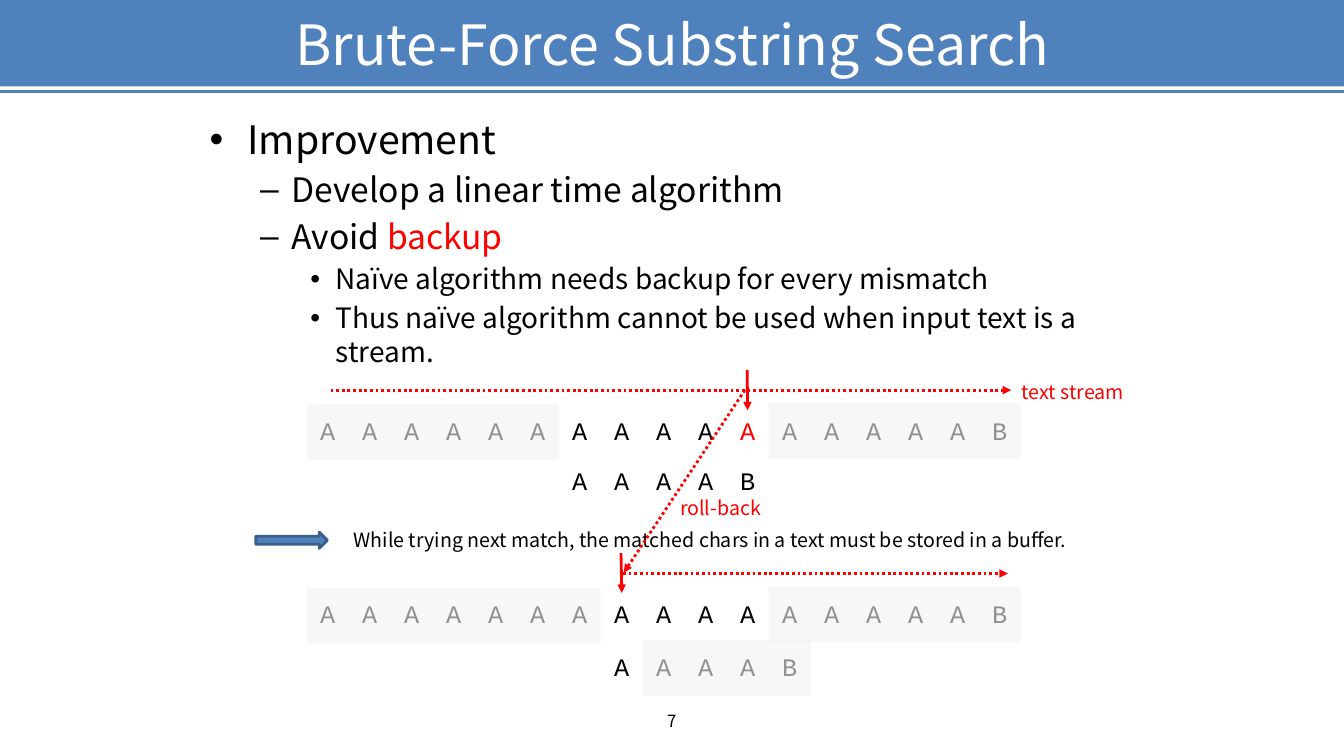
from lxml import etree
from pptx import Presentation
from pptx.dml.color import RGBColor
from pptx.enum.dml import MSO_LINE
from pptx.enum.shapes import MSO_CONNECTOR, MSO_SHAPE
from pptx.enum.text import MSO_ANCHOR, MSO_AUTO_SIZE as FIT, PP_ALIGN
from pptx.oxml.ns import qn
from pptx.util import Cm, Pt

rgb = RGBColor.from_string
SANS, MONO = "Noto Sans CJK KR", "Courier New"
BLUE, RED, BLACK = "4F81BD", "FF0000", "000000"
LEFT, CELL = 7.73, 1.0583

prs = Presentation()
prs.slide_width, prs.slide_height = Cm(33.87), Cm(19.05)
s = prs.slides.add_slide(prs.slide_layouts[1])


def label(text, x, y, w, h, size, color=BLACK, font=SANS, centred=True):
    tf = s.shapes.add_textbox(Cm(x), Cm(y), Cm(w), Cm(h)).text_frame
    tf.word_wrap = centred
    tf.auto_size = FIT.NONE if centred else FIT.SHAPE_TO_FIT_TEXT
    p = tf.paragraphs[0]
    p.text = text
    p.alignment = PP_ALIGN.CENTER if centred else PP_ALIGN.LEFT
    p.font.size, p.font.name, p.font.color.rgb = Pt(size), font, rgb(color)
    return tf


def line(x1, y1, x2, y2, color=RED, width=2, dotted=False, arrow=True):
    c = s.shapes.add_connector(MSO_CONNECTOR.STRAIGHT, Cm(x1), Cm(y1), Cm(x2), Cm(y2))
    c.line.color.rgb, c.line.width = rgb(color), Pt(width)
    if dotted:
        c.line.dash_style = MSO_LINE.ROUND_DOT
    if arrow:
        etree.SubElement(c.line._get_or_add_ln(), qn("a:tailEnd"), type="triangle")
    etree.SubElement(c._element.spPr, qn("a:effectLst"))


banner = s.shapes.add_shape(MSO_SHAPE.RECTANGLE, 0, 0, prs.slide_width, Cm(2.18))
banner.shadow.inherit = False
banner.fill.solid()
banner.fill.fore_color.rgb = rgb(BLUE)
banner.line.fill.background()
s.shapes._spTree.insert(2, banner._element)
line(0, 2.31, 33.87, 2.31, BLUE, 2.25, arrow=False)

title = s.shapes.title
title.left, title.top, title.width, title.height = Cm(5.03), Cm(0.2), Cm(23.83), Cm(1.78)
tf = title.text_frame
tf.text = "Brute-Force Substring Search"
tf.auto_size = FIT.NONE
tf.vertical_anchor = MSO_ANCHOR.MIDDLE
p = tf.paragraphs[0]
p.alignment = PP_ALIGN.CENTER
p.font.size, p.font.name, p.font.color.rgb = Pt(39.6), SANS, rgb("FFFFFF")

body = s.placeholders[1]
body.left, body.top, body.width, body.height = Cm(5.03), Cm(2.77), Cm(23.83), Cm(14.68)
tf = body.text_frame
tf.auto_size = FIT.NONE
bullets = [
    (0, "Improvement", ""),
    (1, "Develop a linear time algorithm", ""),
    (1, "Avoid ", "backup"),
    (2, "Naïve algorithm needs backup for every mismatch", ""),
    (2, "Thus naïve algorithm cannot be used when input text is a stream.", ""),
]
for i, (level, text, keyword) in enumerate(bullets):
    p = tf.add_paragraph() if i else tf.paragraphs[0]
    p.level = level
    p.font.size, p.font.name, p.font.color.rgb = Pt(28 - 4 * level), SANS, rgb(BLACK)
    p.add_run().text = text
    if keyword:
        r = p.add_run()
        r.text = keyword
        r.font.color.rgb = rgb(RED)
tf.paragraphs[0].space_before = Pt(0)

label("7", 12.98, 17.65, 7.9, 1.02, 12).vertical_anchor = MSO_ANCHOR.MIDDLE

stream = "A" * 16 + "B"
pattern = "AAAAB"
rows = [(stream, 0, 10.34, 10), (pattern, 6, 11.61, None),
        (stream, 0, 14.94, None), (pattern, 7, 16.28, None)]
for letters, start, y, mismatch in rows:
    for col, letter in enumerate(letters, start):
        color = RED if col == mismatch else BLACK
        label(letter, LEFT + col * CELL, y, CELL, 0.97, 18, color, MONO)

for first, last, y in [(0, 6, 10.19), (11, 17, 10.16), (0, 7, 14.81), (11, 17, 14.78), (8, 12, 16.13)]:
    mask = s.shapes.add_shape(MSO_SHAPE.RECTANGLE, Cm(LEFT + first * CELL), Cm(y),
                              Cm((last - first) * CELL), Cm(1.4))
    mask.shadow.inherit = False
    mask.fill.solid()
    mask.fill.fore_color.rgb = rgb("F2F2F2")
    mask.line.fill.background()
    etree.SubElement(mask._element.spPr.find(".//" + qn("a:srgbClr")), qn("a:alpha"), val="60000")

pointer = s.shapes.add_shape(MSO_SHAPE.RIGHT_ARROW, Cm(6.45), Cm(13.41), Cm(1.8), Cm(0.41))
pointer.shadow.inherit = False
pointer.fill.solid()
pointer.fill.fore_color.rgb = rgb(BLUE)
pointer.line.color.rgb, pointer.line.width = rgb("3A5F8C"), Pt(2)

label("While trying next match, the matched chars in a text must be stored in a buffer.",
      8.66, 13.18, 19.41, 0.86, 14, centred=False)
line(18.83, 9.32, 18.84, 10.34)
line(15.65, 13.94, 15.67, 14.94)
line(18.77, 9.83, 15.72, 14.43, dotted=True)
line(8.33, 9.83, 25.48, 9.83, dotted=True)
label("text stream", 25.5, 9.45, 3.1, 0.86, 14, RED, centred=False)
label("roll-back", 16.89, 12.37, 2.64, 0.86, 14, RED, centred=False)
line(15.7, 14.45, 25.4, 14.45, dotted=True)

prs.save("out.pptx")
